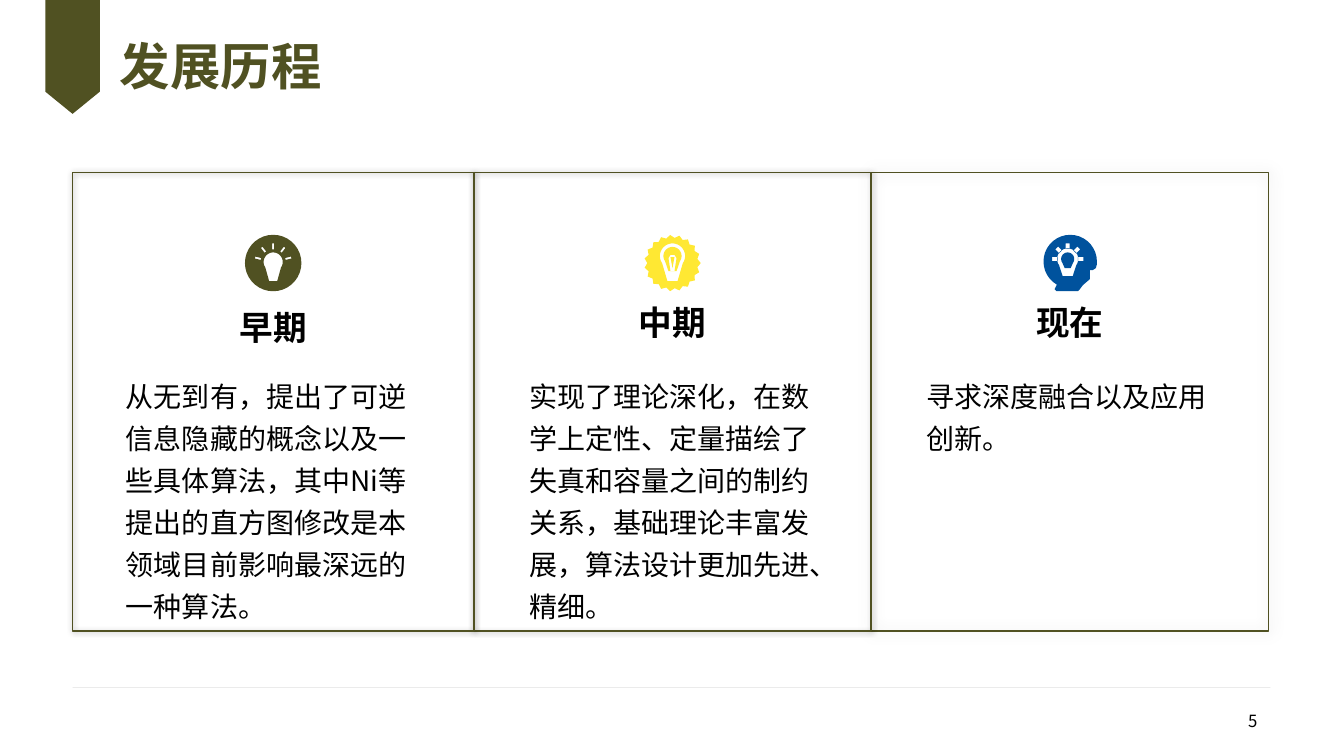
from math import cos, radians, sin

from lxml import etree
from pptx import Presentation
from pptx.dml.color import RGBColor
from pptx.enum.shapes import MSO_CONNECTOR, MSO_SHAPE
from pptx.enum.text import MSO_ANCHOR, PP_ALIGN
from pptx.oxml.ns import qn
from pptx.util import Inches, Pt

RECT, LINE = MSO_SHAPE.RECTANGLE, MSO_CONNECTOR.STRAIGHT
TOP, MIDDLE = MSO_ANCHOR.TOP, MSO_ANCHOR.MIDDLE
LEFT, CENTER, RIGHT = PP_ALIGN.LEFT, PP_ALIGN.CENTER, PP_ALIGN.RIGHT
FONT = "Noto Sans CJK SC"
OLIVE, YELLOW, BLUE, BLACK, GREY = "505122", "FFE833", "00529D", "000000", "BFBFBF"

TITLE, PAGE = "发展历程", "5"
BANNER = [(0.45, 0), (0.99, 0), (0.99, 0.91), (0.72, 1.13), (0.45, 0.91)]

# panel left, width, shadow opacity and blur; heading left, top; body left, width
STAGES = [
    ("早期", "从无到有，提出了可逆信息隐藏的概念以及一些具体算法，其中Ni等提出的直方图修改是本领域目前影响最深远的一种算法。",
     (0.72, 3.98, 40, 4), (1.46, 2.88), (1.15, 3.12)),
    ("中期", "实现了理论深化，在数学上定性、定量描绘了失真和容量之间的制约关系，基础理论丰富发展，算法设计更加先进、精细。",
     (4.7, 3.94, 40, 4), (5.42, 2.83), (5.15, 3.13)),
    ("现在", "寻求深度融合以及应用创新。",
     (8.64, 3.94, 20, 10), (9.36, 2.83), (9.09, 3.1)),
]
PANEL_TOP, PANEL_H = 1.71, 4.55
ICON_TOP = 2.33


def rgb(code):
    return RGBColor.from_string(code)


def arc(x, y, r, start=0, end=360, step=10):
    return [(x + r * cos(radians(a)), y + r * sin(radians(a)))
            for a in range(start, end + 1, step)]


def bulb(x, y, r, half, base):
    """Round top that narrows to a flat base."""
    return arc(x, y, r, 145, 395) + [(x + half, base), (x - half, base)]


def ray(x, y, near, far, angle, half=0.01):
    """Thin bar that points away from a centre."""
    c, s = cos(radians(angle)), sin(radians(angle))
    return [(x + d * c - w * s, y + d * s + w * c)
            for d, w in ((near, -half), (far, -half), (far, half), (near, half))]


def gear(x, y, big, small, teeth):
    return [(x + r * cos(radians(a)), y + r * sin(radians(a)))
            for i in range(2 * teeth)
            for r, a in [((big, small)[i % 2], i * 180 / teeth)]]


# icon left, colour, outlines in inches from the icon's corner
ICONS = [
    (2.43, OLIVE, [arc(0.28, 0.28, 0.28), bulb(0.28, 0.27, 0.095, 0.04, 0.46)]
     + [ray(0.28, 0.27, 0.125, 0.185, a) for a in (194, 232, 270, 308, 346)]),
    (6.39, YELLOW, [
        gear(0.28, 0.28, 0.28, 0.25, 19),
        bulb(0.28, 0.21, 0.125, 0.05, 0.46),
        bulb(0.28, 0.21, 0.09, 0.04, 0.36),
        [(0.26, 0.36), (0.24, 0.23), (0.26, 0.2), (0.3, 0.2), (0.32, 0.23), (0.3, 0.36)],
        [(0.26, 0.22), (0.3, 0.22), (0.28, 0.33)]]),
    (10.35, BLUE, [
        arc(0.265, 0.265, 0.265, 120, 360)
        + [(0.53, 0.29), (0.52, 0.33), (0.49, 0.35), (0.46, 0.35), (0.46, 0.44),
           (0.39, 0.5), (0.36, 0.54), (0.34, 0.56), (0.13, 0.56), (0.11, 0.54)],
        bulb(0.24, 0.24, 0.105, 0.05, 0.41),
        bulb(0.24, 0.24, 0.065, 0.03, 0.33)]
     + [ray(0.24, 0.24, 0.1, 0.155, a, 0.02) for a in range(180, 361, 45)]),
]

prs = Presentation()
prs.slide_width, prs.slide_height = Inches(13.33), Inches(7.5)
slide = prs.slides.add_slide(prs.slide_layouts[6])
shapes = slide.shapes


def outline(x, y, loops, color):
    """Filled freeform; inner loops become holes."""
    loops = [[(Inches(x + a), Inches(y + b)) for a, b in loop] for loop in loops]
    pen = shapes.build_freeform(*loops[0][0], scale=1.0)
    for i, loop in enumerate(loops):
        if i:
            pen.move_to(*loop[0])
        pen.add_line_segments(loop[1:], close=True)
    shape = pen.convert_to_shape()
    shape.shadow.inherit = False
    shape.fill.solid()
    shape.fill.fore_color.rgb = rgb(color)
    shape.line.fill.background()


def text(words, box, size, color=BLACK, bold=False, align=LEFT, anchor=MIDDLE,
         gap=None, inset=True):
    frame = shapes.add_textbox(*map(Inches, box)).text_frame
    frame.word_wrap = True
    frame.vertical_anchor = anchor
    if not inset:
        frame.margin_left = frame.margin_right = 0
        frame.margin_top = frame.margin_bottom = 0
    para = frame.paragraphs[0]
    para.alignment = align
    if gap:
        para.line_spacing = gap
    run = para.add_run()
    run.text = words
    font = run.font
    font.name, font.size, font.bold = FONT, Pt(size), bold
    font.color.rgb = rgb(color)
    etree.SubElement(font._element, qn("a:ea")).set("typeface", FONT)


def alpha(node, percent):
    etree.SubElement(node, qn("a:alpha")).set("val", str(percent * 1000))


def panel(x, w, opacity, blur):
    shape = shapes.add_shape(RECT, *map(Inches, (x, PANEL_TOP, w, PANEL_H)))
    shape.fill.background()
    shape.line.color.rgb = rgb(OLIVE)
    shape.line.width = Pt(1)
    shape.shadow.inherit = False
    effects = shape._element.spPr.find(qn("a:effectLst"))
    shade = etree.SubElement(effects, qn("a:outerShdw"), blurRad=str(Pt(blur)),
                             dist="0", dir="0", algn="ctr", rotWithShape="0")
    alpha(etree.SubElement(shade, qn("a:srgbClr"), val=BLACK), opacity)


rule = shapes.add_connector(LINE, *map(Inches, (0.72, 6.82, 12.6, 6.82)))
rule.line.color.rgb = rgb(GREY)
rule.line.width = Pt(0.25)
props = rule._element.spPr
alpha(props.find(".//" + qn("a:srgbClr")), 47)
etree.SubElement(props, qn("a:effectLst"))

outline(0, 0, [BANNER], OLIVE)
text(TITLE, (1.19, 0.26, 8.93, 0.86), 36, OLIVE, True, gap=0.9, inset=False)
text(PAGE, (9.57, 6.95, 3, 0.4), 12, align=RIGHT)

for name, body, frame, (hx, hy), (bx, bw) in reversed(STAGES):
    panel(*frame)
    text(name, (hx, hy, 2.5, 0.61), 24, bold=True, align=CENTER, gap=1.3)
    text(body, (bx, 3.63, bw, 2.93), 20, anchor=TOP, gap=Pt(30))
for x, color, loops in ICONS:
    outline(x, ICON_TOP, loops, color)

prs.save("out.pptx")
